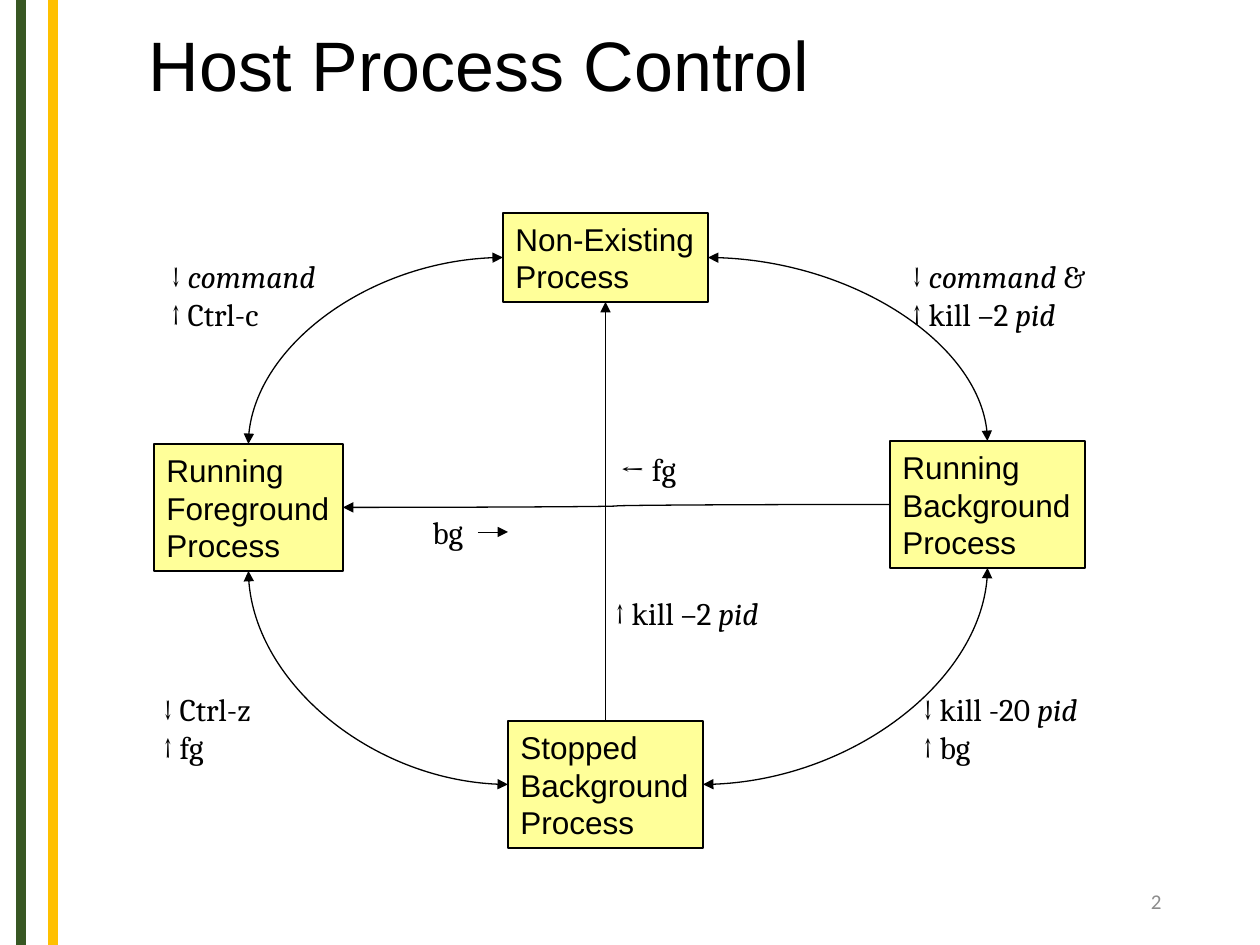
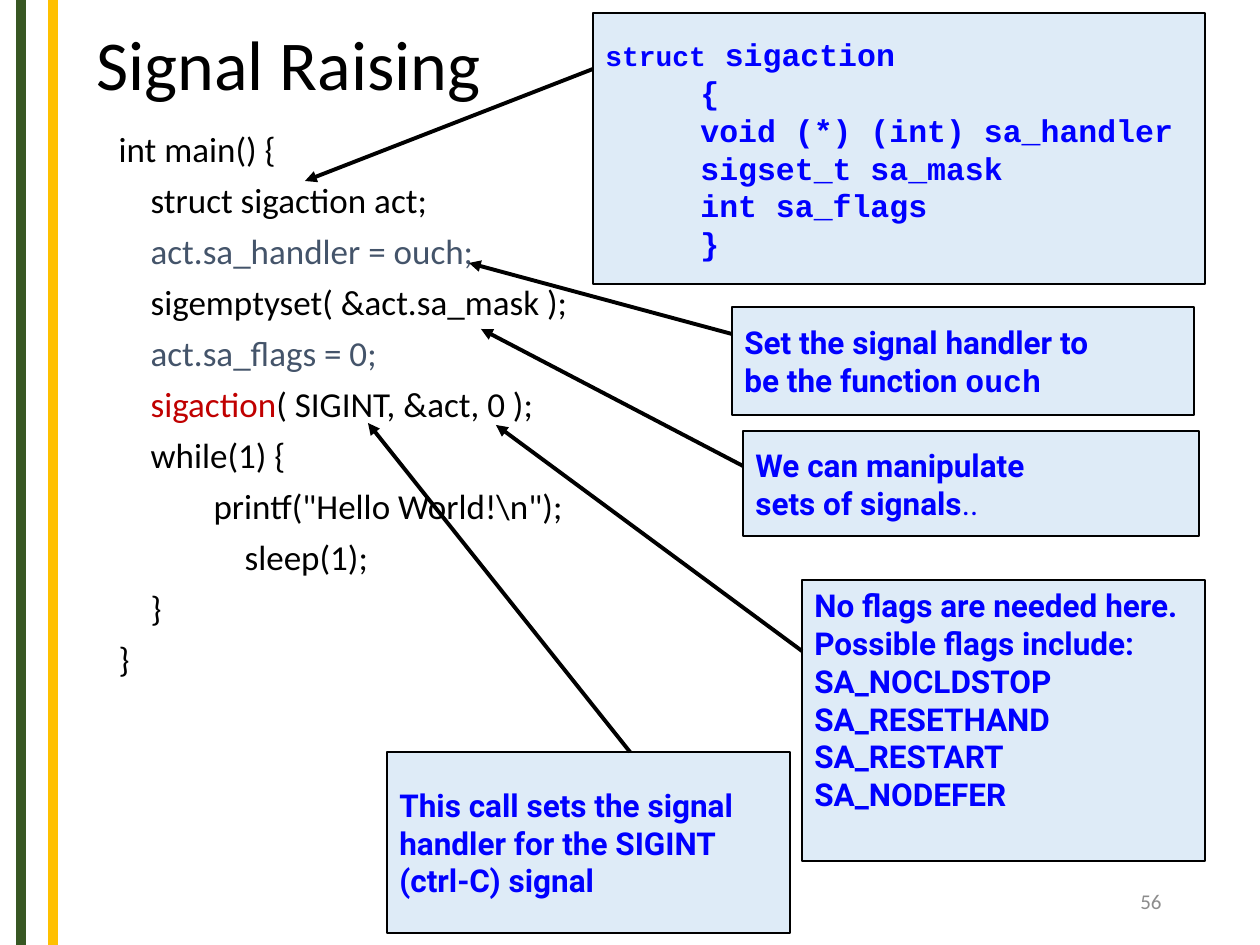
import collections

import lxml.etree
import pptx
import pptx.dml.color
import pptx.enum.shapes
import pptx.enum.text
import pptx.oxml.ns
import pptx.util

EMU_PER_PX = 914400 / 126
PAGE_WIDTH, PAGE_HEIGHT = 1260, 945

RGBColor = pptx.dml.color.RGBColor
BLACK = RGBColor(0x00, 0x00, 0x00)
GREEN = RGBColor(0x38, 0x57, 0x23)
GOLD = RGBColor(0xFF, 0xC0, 0x00)
GRAY = RGBColor(0x8C, 0x8C, 0x8C)
YELLOW = RGBColor(0xFF, 0xFF, 0x99)
PALE_BLUE = RGBColor(0xDE, 0xEB, 0xF7)
BLUE = RGBColor(0x00, 0x00, 0xFF)
SLATE = RGBColor(0x44, 0x54, 0x6A)
RED = RGBColor(0xC0, 0x00, 0x00)

ANCHOR = pptx.enum.text.MSO_ANCHOR
ALIGN = pptx.enum.text.PP_ALIGN
CONNECTOR = pptx.enum.shapes.MSO_CONNECTOR
RECTANGLE = pptx.enum.shapes.MSO_SHAPE.RECTANGLE
TOP, LEFT, BOTTOM, RIGHT = range(4)

Box = collections.namedtuple("Box", "left top width height")
Callout = collections.namedtuple("Callout", "box start tip lines font anchor")


def px(length):
    return pptx.util.Emu(round(length * EMU_PER_PX))


def emu(*lengths):
    return [px(length) for length in lengths]


def inside(area, box):
    """Turn a box measured from the corner of area into a page box."""
    return Box(area.left + box.left, area.top + box.top, box.width, box.height)


def write(para, text, font="Calibri", size=18, color=BLACK, bold=False, italic=False):
    span = para.add_run()
    span.text = text
    span.font.name = font
    span.font.size = pptx.util.Pt(size)
    span.font.color.rgb = color
    span.font.bold = bold
    span.font.italic = italic


def write_lines(frame, lines, align=ALIGN.LEFT, **text_format):
    """Each line is a text, or a list of texts and (text, format changes) pairs."""
    for index, line in enumerate(lines):
        para = frame.add_paragraph() if index else frame.paragraphs[0]
        para.alignment = align
        for part in [line] if isinstance(line, str) else line:
            text, changes = (part, {}) if isinstance(part, str) else part
            write(para, text, **{**text_format, **changes})


def indent(para, length):
    properties = para._p.get_or_add_pPr()
    properties.set("marL", str(px(length)))
    properties.set("indent", "0")


def add_label(page, box, lines, anchor=ANCHOR.TOP, **text_format):
    frame = page.shapes.add_textbox(*emu(*box)).text_frame
    frame.word_wrap = True
    frame.vertical_anchor = anchor
    write_lines(frame, lines, **text_format)


def add_panel(page, box, fill, lines, anchor=ANCHOR.MIDDLE, **text_format):
    panel = page.shapes.add_shape(RECTANGLE, *emu(*box))
    panel.shadow.inherit = False
    panel.fill.solid()
    panel.fill.fore_color.rgb = fill
    panel.line.color.rgb = BLACK
    panel.line.width = pptx.util.Pt(0.75)
    panel.text_frame.word_wrap = False
    panel.text_frame.vertical_anchor = anchor
    write_lines(panel.text_frame, lines, **text_format)
    return panel


def add_line(page, start, end, kind=CONNECTOR.STRAIGHT, color=BLACK, width=0.75, arrows=("tailEnd",)):
    line = page.shapes.add_connector(kind, *emu(*start, *end))
    line.line.color.rgb = color
    line.line.width = pptx.util.Pt(width)
    qn = pptx.oxml.ns.qn
    properties = line.element.spPr
    for arrow in arrows:
        lxml.etree.SubElement(properties.find(qn("a:ln")), qn("a:" + arrow), type="triangle")
    lxml.etree.SubElement(properties, qn("a:effectLst"))
    return line


def join(page, begin, begin_side, end, end_side, **line_format):
    line = add_line(page, (0, 0), (0, 0), **line_format)
    line.begin_connect(begin, begin_side)
    line.end_connect(end, end_side)
    return line


def join_by_arc(page, begin, begin_side, end, end_side):
    arc = join(page, begin, begin_side, end, end_side,
               kind=CONNECTOR.CURVE, arrows=("headEnd", "tailEnd"))
    geometry = arc.element.spPr.find(pptx.oxml.ns.qn("a:prstGeom"))
    geometry.set("prst", "curvedConnector2")


def move_placeholder(holder, box, anchor):
    holder.left, holder.top, holder.width, holder.height = emu(*box)
    frame = holder.text_frame
    frame.word_wrap = True
    frame.auto_size = pptx.enum.text.MSO_AUTO_SIZE.NONE
    frame.vertical_anchor = anchor
    return frame


def add_page(deck, layout, title, title_box, title_font, number):
    page = deck.slides.add_slide(deck.slide_layouts.get_by_name(layout))
    frame = move_placeholder(page.shapes.title, title_box, ANCHOR.MIDDLE)
    write_lines(frame, [title], font=title_font, size=40)
    frame.paragraphs[0].line_spacing = 0.9
    add_label(page, Box(890, 876, 284, 50), [number], anchor=ANCHOR.MIDDLE,
              align=ALIGN.RIGHT, size=12, color=GRAY)
    return page


def add_bands(page, master):
    """Draw the side bands and hand them to the master, so that all pages share them."""
    for left, color in ((21, GREEN), (53, GOLD)):
        band = add_line(page, (left, 0), (left, PAGE_HEIGHT), color=color, width=6, arrows=())
        master.element.cSld.spTree.append(band.element)


def draw_process_states(page, area):
    def add_state(box, *lines):
        return add_panel(page, inside(area, box), YELLOW, lines, font="Arial")

    missing = add_state(Box(349, 0, 205, 89), "Non-Existing", "Process")
    foreground = add_state(Box(0, 231, 189, 127), "Running", "Foreground", "Process")
    stopped = add_state(Box(354, 508, 195, 127), "Stopped", "Background", "Process")
    background = add_state(Box(736, 228, 195, 127), "Running", "Background", "Process")

    for middle, middle_end in ((missing, TOP), (stopped, BOTTOM)):
        join_by_arc(page, middle, LEFT, foreground, middle_end)
        join_by_arc(page, middle, RIGHT, background, middle_end)
    join(page, stopped, TOP, missing, BOTTOM)
    join(page, background, LEFT, foreground, RIGHT, kind=CONNECTOR.CURVE)

    pid = ("pid", {"italic": True})
    command = ("command", {"italic": True})
    labels = (
        (Box(5, 38, 179, 88), [["↓ ", command], "↑ Ctrl-c"]),
        (Box(-3, 471, 164, 88), ["↓ Ctrl-z", "↑ fg"]),
        (Box(757, 471, 212, 88), [["↓ kill -20 ", pid], "↑ bg"]),
        (Box(746, 38, 212, 88), [["↓ ", command, " &"], ["↑ kill –2 ", pid]]),
        (Box(449, 375, 179, 50), [["↑ kill –2 ", pid]]),
        (Box(454, 231, 150, 50), ["← fg"]),
        (Box(266, 294, 141, 50), ["bg"]),
    )
    for box, lines in labels:
        add_label(page, inside(area, box), lines, font="Cambria")
    arrow_top = area.top + 319
    add_line(page, (area.left + 324, arrow_top), (area.left + 354, arrow_top), width=0.5)


def write_code(holder, box):
    code = (
        (0, "int main() {"),
        (32, "struct sigaction act;"),
        (32, [("act.sa_handler = ouch;", {"color": SLATE})]),
        (32, "sigemptyset( &act.sa_mask );"),
        (32, [("act.sa_flags = 0;", {"color": SLATE})]),
        (32, [("sigaction", {"color": RED}), "( SIGINT, &act, 0 );"]),
        (32, "while(1) {"),
        (95, 'printf("Hello World!\\n");'),
        (126, "sleep(1);"),
        (32, "}"),
        (0, "}"),
    )
    frame = move_placeholder(holder, box, ANCHOR.TOP)
    write_lines(frame, [line for _, line in code], size=20)
    for para, (depth, _) in zip(frame.paragraphs, code):
        para.line_spacing = 0.9
        para.space_before = pptx.util.Pt(7.5)
        indent(para, depth)
        lxml.etree.SubElement(para._p.get_or_add_pPr(), pptx.oxml.ns.qn("a:buNone"))


def draw_callout(page, area, callout):
    """The arrow starts at an offset within the callout; its tip is measured from area."""
    box = inside(area, callout.box)
    panel = add_panel(page, box, PALE_BLUE, callout.lines, anchor=callout.anchor,
                      font=callout.font, color=BLUE, bold=True)
    start = box.left + callout.start[0], box.top + callout.start[1]
    tip = area.left + callout.tip[0], area.top + callout.tip[1]
    add_line(page, start, tip, width=2.25)
    return panel


def draw_callouts(page, area):
    structure = Callout(
        Box(206, 0, 612, 271), (0, 56), (-82, 168),
        [[("struct", {"size": 16}), " sigaction"], "{", "void (*) (int) sa_handler",
         "sigset_t sa_mask", "int sa_flags", "}"], "Courier New", ANCHOR.MIDDLE)
    panel = draw_callout(page, area, structure)
    for para in panel.text_frame.paragraphs[1:]:
        indent(para, 95)

    notes = (
        Callout(Box(415, 567, 403, 281), (0, 71), (109, 412),
                ["No flags are needed here.", "Possible flags include:", "SA_NOCLDSTOP",
                 "SA_RESETHAND", "SA_RESTART", "SA_NODEFER"], "Roboto", ANCHOR.TOP),
        Callout(Box(0, 739, 403, 181), (243, 0), (-19, 410),
                ["This call sets the signal", "handler for the SIGINT",
                 "(ctrl-C) signal"], "Roboto", ANCHOR.MIDDLE),
        Callout(Box(356, 418, 456, 105), (0, 35), (94, 316),
                ["We can manipulate", ["sets of signals", ("..", {"bold": False})]],
                "Roboto", ANCHOR.MIDDLE),
        Callout(Box(345, 294, 462, 108), (0, 27), (82, 250),
                ["Set the signal handler to",
                 ["be the function ", ("ouch", {"font": "Courier New"})]],
                "Roboto", ANCHOR.MIDDLE),
    )
    for note in notes:
        draw_callout(page, area, note)


def build_process_page(deck):
    page = add_page(deck, "Title Only", "Host Process Control",
                    Box(136, -45, 1113, 228), "Arial", "2")
    draw_process_states(page, Box(154, 213, 931, 635))
    return page


def build_signal_page(deck):
    page = add_page(deck, "Title and Content", "Signal Raising",
                    Box(84, 0, 1072, 135), "Calibri", "56")
    write_code(page.placeholders[1], Box(106, 126, 937, 669))
    draw_callouts(page, Box(387, 13, 818, 920))


def main():
    deck = pptx.Presentation()
    deck.slide_width, deck.slide_height = emu(PAGE_WIDTH, PAGE_HEIGHT)
    process_page = build_process_page(deck)
    add_bands(process_page, deck.slide_master)
    build_signal_page(deck)
    deck.save("out.pptx")


if __name__ == "__main__":
    main()
